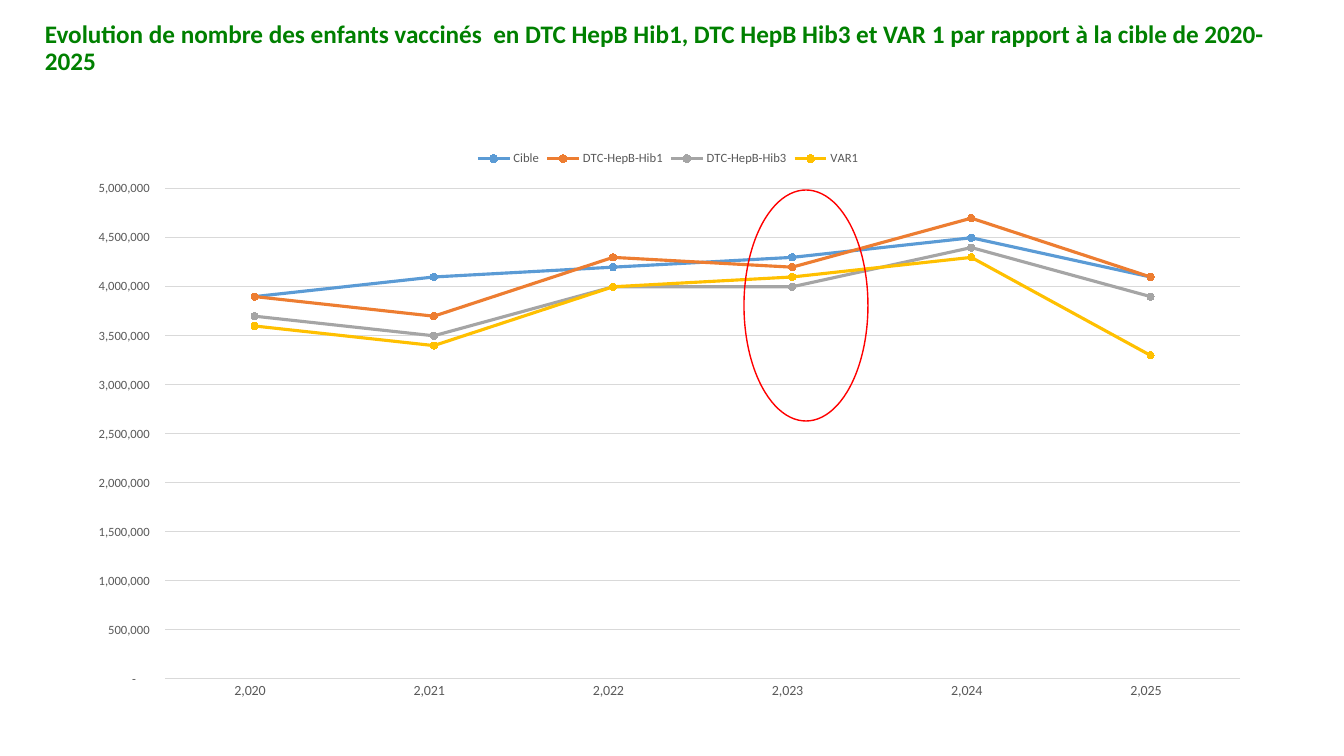
"""Builds the slide on the yearly number of vaccinated children against the target."""
from pptx import Presentation
from pptx.chart.data import CategoryChartData
from pptx.dml.color import RGBColor
from pptx.enum.chart import XL_CHART_TYPE as CT, XL_LEGEND_POSITION as LP
from pptx.enum.chart import XL_MARKER_STYLE as MS, XL_TICK_MARK as TM
from pptx.enum.shapes import MSO_SHAPE as SHAPE
from pptx.enum.text import MSO_ANCHOR as ANCHOR
from pptx.util import Pt

PX = 9071
COUNT_FORMAT = r'_-* #,##0\ _F_-;\-* #,##0\ _F_-;_-* "-"??\ _F_-;_-@_-'
SERIES = [
    ("Cible", "5B9BD5", [3900000, 4100000, 4200000, 4300000, 4500000, 4100000]),
    ("DTC-HepB-Hib1", "ED7D31", [3900000, 3700000, 4300000, 4200000, 4700000, 4100000]),
    ("DTC-HepB-Hib3", "A5A5A5", [3700000, 3500000, 4000000, 4000000, 4400000, 3900000]),
    ("VAR1", "FFC000", [3600000, 3400000, 4000000, 4100000, 4300000, 3300000]),
]


def rgb(code):
    return RGBColor.from_string(code)


def style_font(font, size, color, bold=False):
    font.name, font.size, font.bold = "Calibri", Pt(size), bold
    font.color.rgb = rgb(color)


prs = Presentation()
prs.slide_width, prs.slide_height = 1344 * PX, 756 * PX
s = prs.slides.add_slide(prs.slide_layouts[6])

title = s.shapes.add_textbox(35 * PX, 5 * PX, 1269 * PX, 88 * PX)
tf = title.text_frame
tf.word_wrap = True
tf.vertical_anchor = ANCHOR.MIDDLE
p = tf.paragraphs[0]
p.line_spacing = 0.9
r = p.add_run()
r.text = ("Evolution de nombre des enfants vaccinés  en DTC HepB Hib1, "
          "DTC HepB Hib3 et VAR 1 par rapport à la cible de 2020-2025")
style_font(r.font, 18, "008000", bold=True)

data = CategoryChartData(number_format=COUNT_FORMAT)
data.categories = range(2020, 2026)
data.categories.number_format = COUNT_FORMAT
for name, color, values in SERIES:
    data.add_series(name, values)
chart = s.shapes.add_chart(CT.LINE_MARKERS, 72 * PX, 140 * PX, 1192 * PX, 570 * PX, data).chart
style_font(chart.font, 10, "000000")
chart.has_title = False
chart.has_legend = True
chart.legend.position = LP.TOP
chart.legend.include_in_layout = False
style_font(chart.legend.font, 9, "595959")

plot = chart.plots[0]
plot.vary_by_categories = False
for line, (name, color, values) in zip(plot.series, SERIES):
    line.smooth = False
    line.format.line.width = Pt(2.25)
    line.format.line.color.rgb = rgb(color)
    marker = line.marker
    marker.style, marker.size = MS.CIRCLE, 5
    marker.format.fill.solid()
    marker.format.fill.fore_color.rgb = rgb(color)
    marker.format.line.color.rgb = rgb(color)

years, counts = chart.category_axis, chart.value_axis
for axis, size in ((years, 10), (counts, 9)):
    axis.major_tick_mark = axis.minor_tick_mark = TM.NONE
    axis.tick_labels.number_format = COUNT_FORMAT
    axis.tick_labels.number_format_is_linked = False
    style_font(axis.tick_labels.font, size, "595959")
counts.minimum_scale, counts.maximum_scale, counts.major_unit = 0, 5000000, 500000
counts.format.line.fill.background()
for border in (years.format.line, counts.major_gridlines.format.line):
    border.color.rgb = rgb("D9D9D9")
    border.width = Pt(0.75)

highlight = s.shapes.add_shape(SHAPE.OVAL, 744 * PX, 190 * PX, 124 * PX, 231 * PX)
highlight.shadow.inherit = False
highlight.fill.background()
highlight.line.color.rgb = rgb("FF0000")
highlight.line.width = Pt(1)

prs.save("out.pptx")
